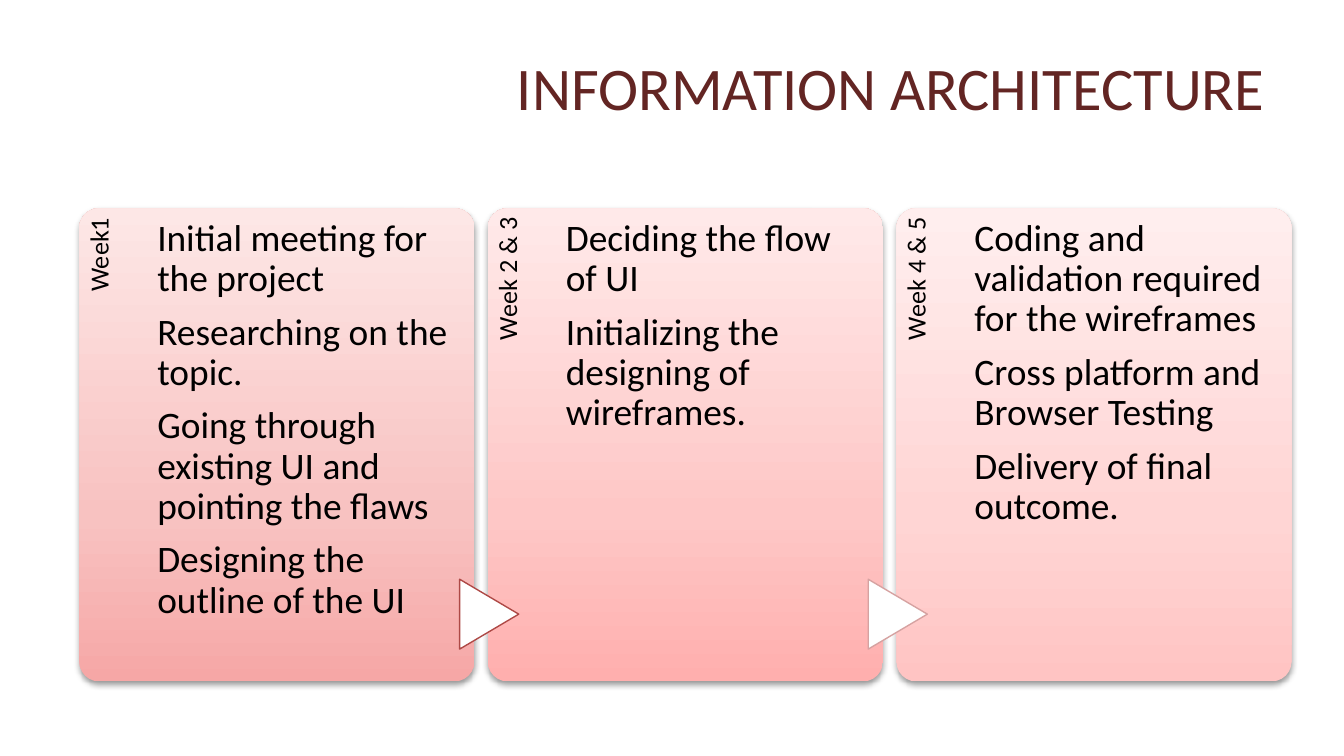
"""Build the Information Architecture slide: three weekly cards joined by arrows."""
import copy

import pptx
import pptx.dml.color
import pptx.enum.shapes
import pptx.enum.text
import pptx.oxml
import pptx.oxml.ns
import pptx.util
from pptx.util import Inches

ALIGN = pptx.enum.text.PP_ALIGN
SHAPE = pptx.enum.shapes.MSO_SHAPE
SHADOW = (
    '<a:outerShdw xmlns:a="http://schemas.openxmlformats.org/drawingml/2006/main" '
    'blurRad="40000" dist="20000" dir="5400000" rotWithShape="0">'
    '<a:srgbClr val="000000"><a:alpha val="38000"/></a:srgbClr></a:outerShdw>'
)


def color(value):
    """Turn a hex string into a colour."""
    return pptx.dml.color.RGBColor.from_string(value)


def write(frame, lines, size, hue, para_format, frame_format):
    """Fill a text frame with one paragraph per line."""
    for name, value in frame_format.items():
        setattr(frame, name, value)
    for index, line in enumerate(lines):
        para = frame.paragraphs[0] if index == 0 else frame.add_paragraph()
        for name, value in para_format.items():
            setattr(para, name, value)
        span = para.add_run()
        span.text = line
        for name, value in {"name": "Calibri", "size": pptx.util.Pt(size)}.items():
            setattr(span.font, name, value)
        span.font.color.rgb = color(hue)


deck = pptx.Presentation()
deck.slide_width = Inches(10)
deck.slide_height = Inches(10 * 9 / 16)
page = deck.slides.add_slide(deck.slide_layouts[5])

title = page.shapes.title
title_place = {"left": 0.49, "top": 0.31, "width": 9.02, "height": 0.67}
for name, value in title_place.items():
    setattr(title, name, Inches(value))
write(title.text_frame, ["INFORMATION ARCHITECTURE"], 32.4, "632523",
      {"alignment": ALIGN.RIGHT},
      {"vertical_anchor": pptx.enum.text.MSO_ANCHOR.MIDDLE, "word_wrap": True})

weeks = [
    ("Week1", ("F6A7A6", "F8C2C1", "FDE7E6"), None,
     ["Initial meeting for the project", "Researching on the topic.",
      "Going through existing UI and pointing the flaws",
      "Designing the outline of the UI"]),
    ("Week 2 & 3", ("FFAFAE", "FEC7C6", "FFE9E9"), "AE4946",
     ["Deciding the flow of UI", "Initializing the designing of wireframes."]),
    ("Week 4 & 5", ("FFC4C3", "FFD5D4", "FFEEEE"), "D6A2A1",
     ["Coding and validation required for the wireframes",
      "Cross platform and Browser Testing", "Delivery of final outcome."]),
]
card_left, card_top, card_step = 0.59, 1.55, 3.04
card_width, card_height = 2.94, 3.52
label_format = {"word_wrap": True, "margin_left": 0, "margin_top": Inches(0.05),
                "margin_right": Inches(0.07), "margin_bottom": 0}
task_format = {"word_wrap": True, "margin_left": 0, "margin_top": Inches(0.08),
               "margin_right": 0, "margin_bottom": 0}

for index, (week, stops, arrow_line, tasks) in enumerate(weeks):
    left = card_left + index * card_step

    card = page.shapes.add_shape(SHAPE.ROUNDED_RECTANGLE, Inches(left), Inches(card_top),
                                 Inches(card_width), Inches(card_height))
    card.adjustments[0] = 0.05
    card.line.fill.background()
    card.fill.gradient()
    card.fill.gradient_angle = 90
    stop_list = card._element.spPr.find(".//" + pptx.oxml.ns.qn("a:gsLst"))
    stop_list.append(copy.deepcopy(stop_list[0]))
    for stop, position, hue in zip(card.fill.gradient_stops, (0, 0.35, 1), stops):
        stop.position = position
        stop.color.rgb = color(hue)
    card.shadow.inherit = False
    effects = card._element.spPr.find(pptx.oxml.ns.qn("a:effectLst"))
    effects.append(pptx.oxml.parse_xml(SHADOW))

    label = page.shapes.add_textbox(Inches(left - 1.15), Inches(2.7),
                                    Inches(2.89), Inches(0.59))
    label.rotation = 270
    write(label.text_frame, [week], 14, "000000",
          {"alignment": ALIGN.RIGHT, "line_spacing": 0.9}, label_format)

    if arrow_line:
        arrow = page.shapes.add_shape(SHAPE.FLOWCHART_EXTRACT, Inches(left - 0.25),
                                      Inches(4.35), Inches(0.52), Inches(0.44))
        arrow.rotation = 90
        arrow.shadow.inherit = False
        arrow.fill.solid()
        arrow.fill.fore_color.rgb = color("FFFFFF")
        arrow.line.color.rgb = color(arrow_line)
        arrow.line.width = pptx.util.Pt(0.75)

    task_box = page.shapes.add_textbox(Inches(left + 0.58), Inches(card_top),
                                       Inches(2.19), Inches(card_height))
    write(task_box.text_frame, tasks, 20, "000000",
          {"alignment": ALIGN.LEFT, "line_spacing": 0.9, "space_after": pptx.util.Pt(7)},
          task_format)

deck.save("out.pptx")
